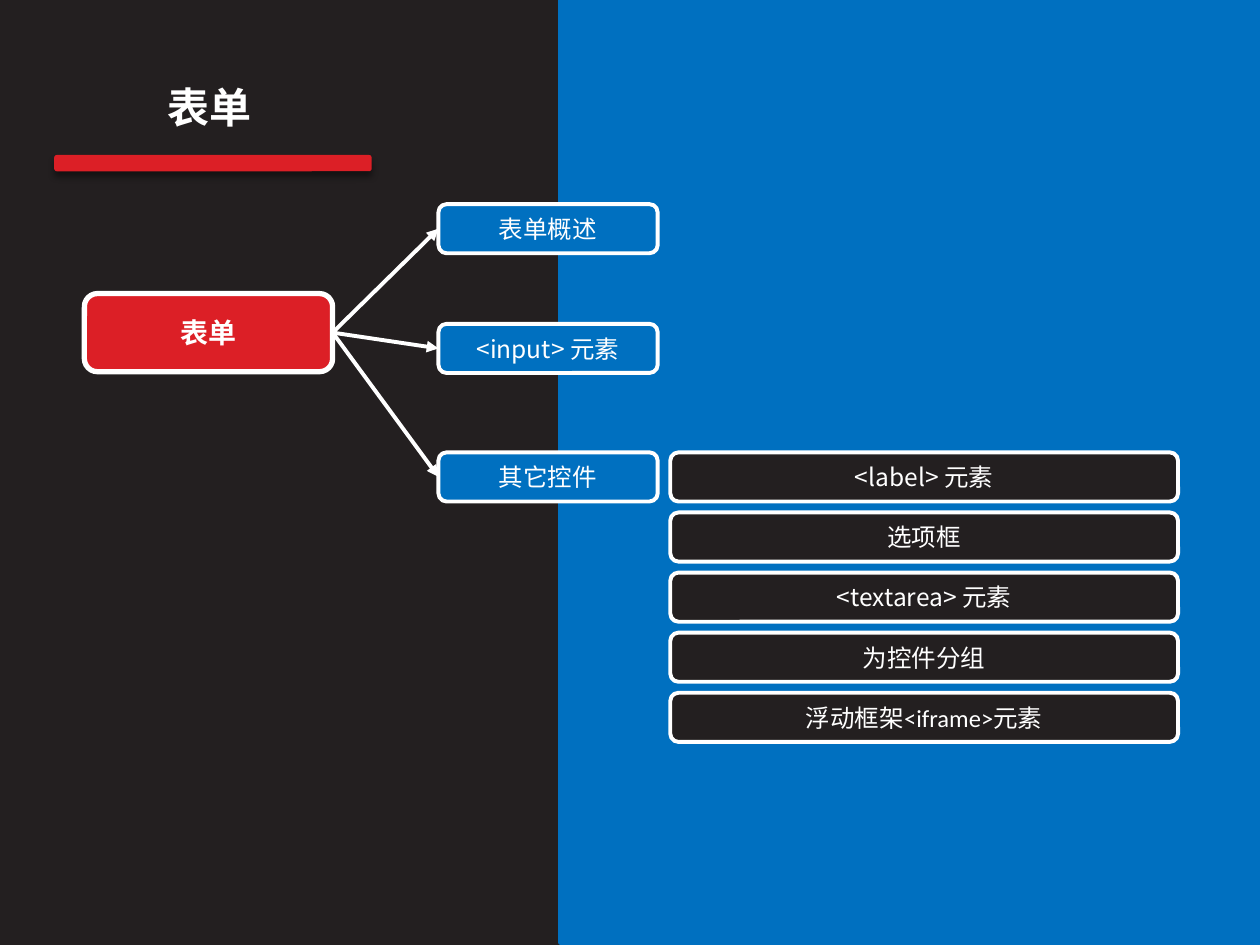
"""Build the form chapter map: a root box, three topics and five subtopics."""
from lxml import etree
from pptx import Presentation, util as u
from pptx.dml.color import RGBColor
from pptx.enum import shapes as es, text as et
from pptx.oxml import ns

DARK, BLUE, RED, WHITE = "231F20", "0070C0", "DC1F26", "FFFFFF"
FACE = "Noto Sans CJK SC"
ROUND = es.MSO_SHAPE.ROUNDED_RECTANGLE

deck = Presentation()
deck.slide_width, deck.slide_height = u.Inches(10), u.Inches(7.5)
col, row = deck.slide_width / 100, deck.slide_height / 75
page = deck.slides.add_slide(deck.slide_layouts[6])
tree = page.shapes


def tint(fmt, hue):
    fmt.solid()
    fmt.fore_color.rgb = RGBColor.from_string(hue)


def box(spot, hue, edge=None, pen=2.25, label="", kind=ROUND, **form):
    x, y, w, h = spot
    place = [round(v) for v in (x * col, y * row, w * col, h * row)]
    item = tree.add_shape(kind, *place) if hue else tree.add_textbox(*place)
    if hue:
        item.shadow.inherit = False
        tint(item.fill, hue)
        if edge:
            tint(item.line.fill, edge)
            item.line.width = u.Pt(pen)
        else:
            item.line.fill.background()
    if label:
        frame = item.text_frame
        frame.word_wrap = True
        frame.vertical_anchor = et.MSO_ANCHOR.MIDDLE if hue else et.MSO_ANCHOR.TOP
        para = frame.paragraphs[0]
        para.alignment = et.PP_ALIGN.CENTER
        run = para.add_run()
        run.text = label
        for key, val in {"name": FACE, "size": u.Pt(14), "bold": False, **form}.items():
            setattr(run.font, key, val)
        tint(run.font.fill, WHITE)
        east = etree.SubElement(run.font._element, ns.qn("a:ea"))
        east.set("typeface", FACE)
    return item


tint(page.background.fill, DARK)
box((44.5, 0, 55.5, 74.8), BLUE, BLUE, 3, kind=es.MSO_SHAPE.RECTANGLE)
box((2.8, 6, 27.7, 7.1), None, label="表单", size=u.Pt(24), bold=True)

bar = box((4.3, 12.3, 25.2, 1.3), RED)
glow = bar._element.spPr.find(ns.qn("a:effectLst"))
cast = etree.SubElement(glow, ns.qn("a:outerShdw"), blurRad=str(u.Pt(4)),
                        dist=str(u.Pt(3)), dir="5400000", rotWithShape="0")
shade = etree.SubElement(cast, ns.qn("a:srgbClr"), val="000000")
etree.SubElement(shade, ns.qn("a:alpha"), val="43000")

root = box((6.7, 23.3, 19.7, 6.2), RED, WHITE, 3, "表单", size=u.Pt(16), bold=True)

for top, label in ((16.2, "表单概述"), (25.7, "<input> 元素"), (35.9, "其它控件")):
    topic = box((34.8, top, 17.4, 3.9), BLUE, WHITE, label=label)
    link = tree.add_connector(es.MSO_CONNECTOR.STRAIGHT, 0, 0, 0, 0)
    link.begin_connect(root, 3)
    link.end_connect(topic, 1)
    tint(link.line.fill, WHITE)
    link.line.width = u.Pt(2.25)
    etree.SubElement(link.line._get_or_add_ln(), ns.qn("a:tailEnd"), type="triangle")
    etree.SubElement(link._element.spPr, ns.qn("a:effectLst"))

parts = (("<label> 元素", FACE), ("选项框", FACE), ("<textarea> 元素", FACE),
         ("为控件分组", FACE), ("浮动框架<iframe>元素", "Calibri"))
for i, (label, face) in enumerate(parts):
    box((53.2, 35.9 + 4.77 * i, 40.3, 3.9), DARK, WHITE, label=label, name=face)

deck.save("out.pptx")
